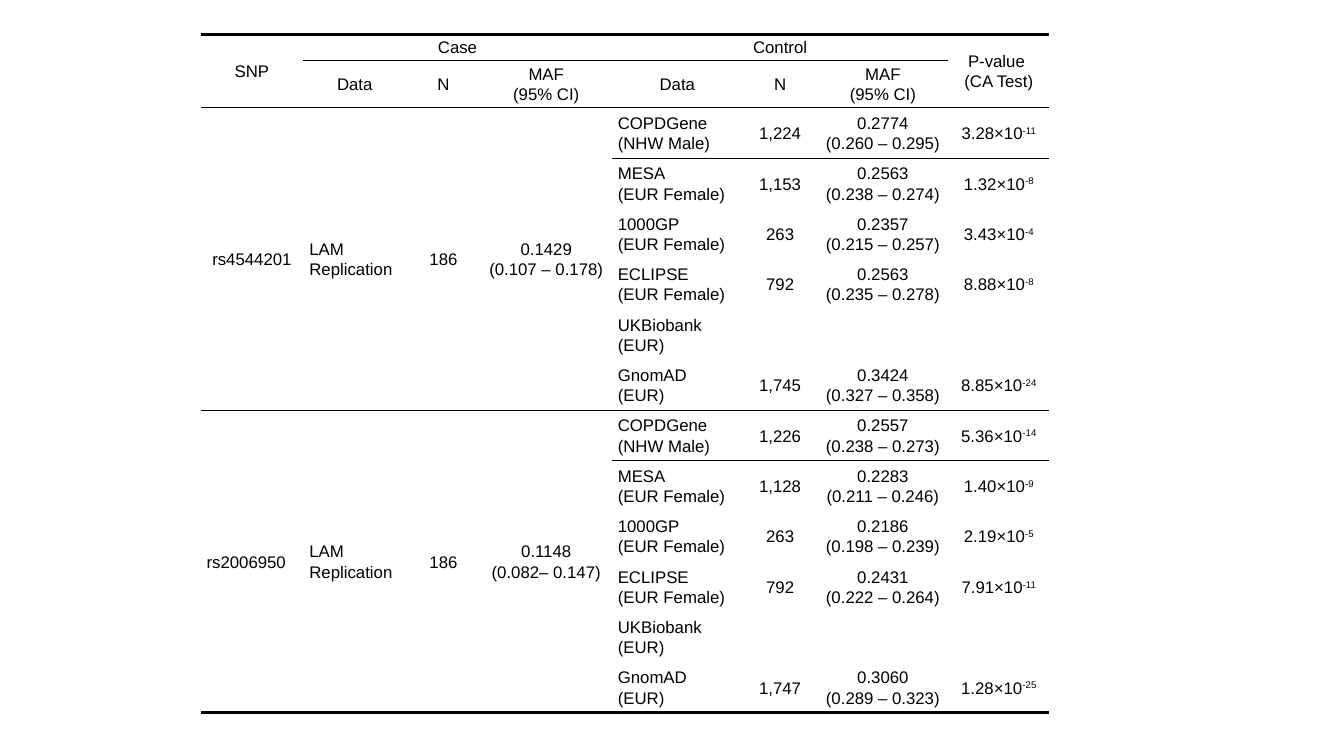
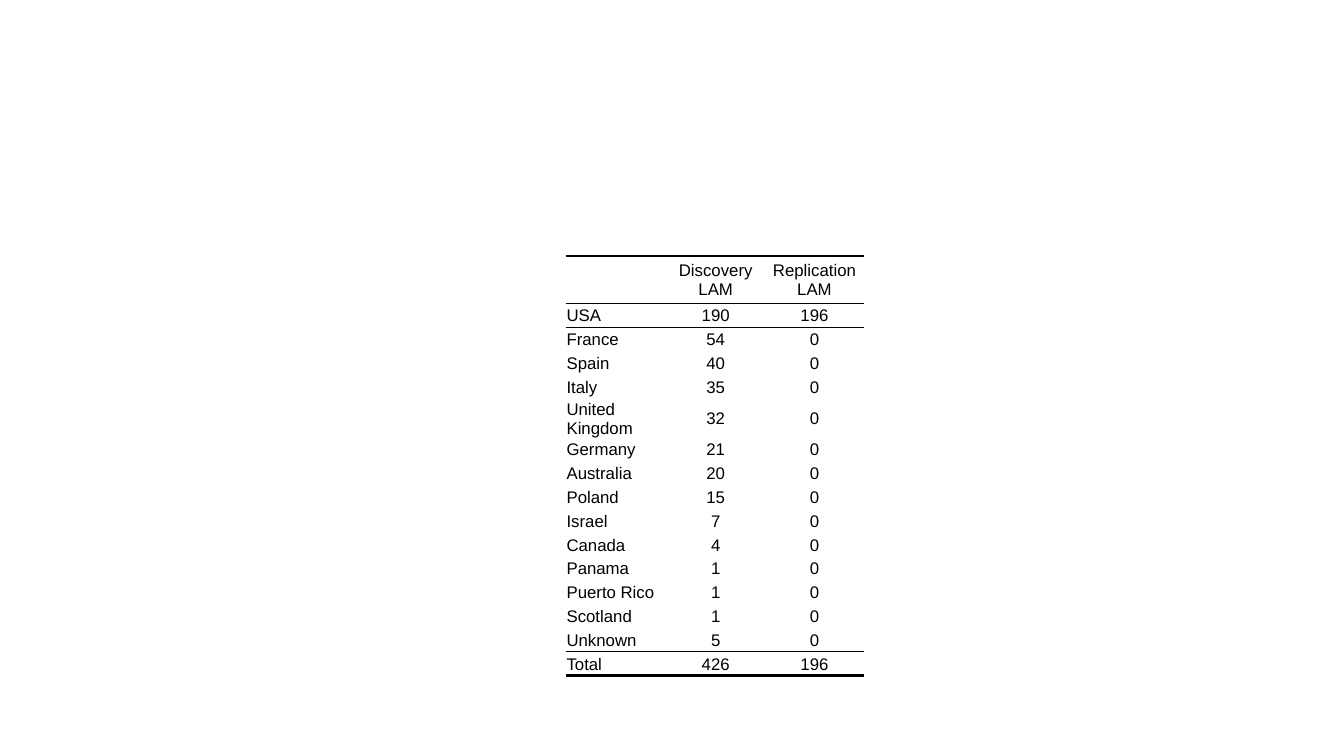
from lxml import etree
from pptx import Presentation, util as u
from pptx.dml.color import RGBColor
from pptx.enum import text
from pptx.oxml.ns import qn

NO_STYLE = "{2D5ABB26-0587-4C30-8999-92F81FD0307C}"
HEAVY, LIGHT = 2.25, 1


def colour(value):
    return RGBColor.from_string(value)


class Deck:
    """Shared style and current slide; lengths are percentages of the slide."""

    font, size, ink = "Arial", 12, "000000"

    def __init__(self):
        self.prs = Presentation()
        self.prs.slide_width = u.Inches(13.33)
        self.prs.slide_height = u.Inches(7.5)
        self.s = None

    def x(self, share):
        return round(self.prs.slide_width * share / 100)

    def y(self, share):
        return round(self.prs.slide_height * share / 100)

    def slide(self):
        self.s = self.prs.slides.add_slide(self.prs.slide_layouts[6])

    def add_run(self, p, content, raised=False):
        r = p.add_run()
        r.text = content
        r.font.name, r.font.size = self.font, u.Pt(self.size)
        r.font.color.rgb = colour(self.ink)
        if raised:
            r.font._element.set("baseline", "30000")

    def add_text(self, tf, content, align="CENTER", spacing=None):
        """Newline starts a paragraph, \\v breaks a line, ^ raises the rest."""
        for i, line in enumerate(content.split("\n")):
            p = tf.add_paragraph() if i else tf.paragraphs[0]
            p.alignment = getattr(text.PP_ALIGN, align)
            if spacing:
                p.line_spacing = spacing
            for j, part in enumerate(line.split("\v")):
                if j:
                    p.add_line_break()
                base, _, power = part.partition("^")
                self.add_run(p, base)
                if power:
                    self.add_run(p, power, raised=True)

    def border(self, cell, side, width):
        ln = etree.SubElement(cell._tc.get_or_add_tcPr(), qn(f"a:{side}"),
                              w=str(u.Pt(width)))
        fill = etree.SubElement(ln, qn("a:solidFill"))
        etree.SubElement(fill, qn("a:srgbClr"), val=self.ink)

    def table(self, left, top, cols, rows, cells, rules, spans=(),
              left_aligned=(), margins=(0, 0, 0, 0), spacing=None):
        """cells maps (row, column) to text; rules maps a row's top to a width."""
        frame = self.s.shapes.add_table(
            len(rows), len(cols), self.x(left), self.y(top),
            self.x(sum(cols)), self.y(sum(rows)))
        table = frame.table
        table.first_row = table.horz_banding = False
        table._tbl.tblPr.find(qn("a:tableStyleId")).text = NO_STYLE
        for column, width in zip(table.columns, cols):
            column.width = self.x(width)
        for row, height in zip(table.rows, rows):
            row.height = self.y(height)
        for r, c, height, width in spans:
            table.cell(r, c).merge(table.cell(r + height - 1, c + width - 1))
        for r in range(len(rows)):
            for c in range(len(cols)):
                cell = table.cell(r, c)
                if cell.is_spanned:
                    continue
                end = r + (cell.span_height if cell.is_merge_origin else 1)
                for side, edge in (("lnT", r), ("lnB", end)):
                    if edge in rules:
                        self.border(cell, side, rules[edge])
                cell.fill.background()
                cell.vertical_anchor = text.MSO_ANCHOR.MIDDLE
                (cell.margin_left, cell.margin_top, cell.margin_right,
                 cell.margin_bottom) = map(u.Inches, margins)
                if cells.get((r, c)):
                    align = "LEFT" if (r, c) in left_aligned else "CENTER"
                    self.add_text(cell.text_frame, cells[r, c], align, spacing)


CONTROLS = ["COPDGene\n(NHW Male)", "MESA\n(EUR Female)",
            "1000GP\v(EUR Female)", "ECLIPSE\n(EUR Female)",
            "UKBiobank\n(EUR)", "GnomAD\n(EUR)"]
SNPS = [
    ("rs4544201", "0.1429\n(0.107 – 0.178)", [
        ("1,224", "0.2774\n(0.260 – 0.295)", "3.28×10^-11"),
        ("1,153", "0.2563\n(0.238 – 0.274)", "1.32×10^-8"),
        ("263", "0.2357\n(0.215 – 0.257)", "3.43×10^-4"),
        ("792", "0.2563\n(0.235 – 0.278)", "8.88×10^-8"),
        (),
        ("1,745", "0.3424\n(0.327 – 0.358)", "8.85×10^-24")]),
    ("rs2006950", "0.1148\n(0.082– 0.147)", [
        ("1,226", "0.2557\n(0.238 – 0.273)", "5.36×10^-14"),
        ("1,128", "0.2283\n(0.211 – 0.246)", "1.40×10^-9"),
        ("263", "0.2186\n(0.198 – 0.239)", "2.19×10^-5"),
        ("792", "0.2431\n(0.222 – 0.264)", "7.91×10^-11"),
        (),
        ("1,747", "0.3060\n(0.289 – 0.323)", "1.28×10^-25")]),
]
COUNTRIES = [
    ("", "Discovery\nLAM", "Replication\nLAM"),
    ("USA", "190", "196"), ("France", "54", "0"), ("Spain", "40", "0"),
    ("Italy", "35", "0"), ("United Kingdom", "32", "0"),
    ("Germany", "21", "0"), ("Australia", "20", "0"), ("Poland", "15", "0"),
    ("Israel", "7", "0"), ("Canada", "4", "0"), ("Panama", "1", "0"),
    ("Puerto Rico", "1", "0"), ("Scotland", "1", "0"), ("Unknown", "5", "0"),
    ("Total", "426", "196"),
]


def by_position(rows, top=0, left=0):
    return {(r, c): value for r, row in enumerate(rows, top)
            for c, value in enumerate(row, left)}


def snp_slide(deck):
    deck.slide()
    group = len(CONTROLS)
    cells = by_position([
        ("SNP", "Case", "", "", "Control", "", "", "P-value \n(CA Test)"),
        ("", "Data", "N", "MAF\v(95% CI)", "Data", "N", "MAF\n(95% CI)")])
    spans = [(0, 0, 2, 1), (0, 1, 1, 3), (0, 4, 1, 3), (0, 7, 2, 1)]
    starts = [2 + group * i for i in range(len(SNPS))]
    for start, (snp, maf, results) in zip(starts, SNPS):
        cells |= by_position([(snp, "LAM \vReplication", "186", maf)], start)
        cells |= by_position([(name, *result) for name, result
                              in zip(CONTROLS, results)], start, 4)
        spans += [(start, c, group, 1) for c in range(4)]
    end = starts[-1] + group
    names = {(r, 4) for r in range(2, end)} | {(r, 1) for r in starts}
    deck.table(
        14.92, 4.53, cols=[7.65, 7.65, 5.55, 9.75, 9.75, 5.55, 9.75, 7.5],
        rows=[3.47, 6.27] + [6.67] * (end - 2), cells=cells, spans=spans,
        rules={0: HEAVY, end: HEAVY} | dict.fromkeys([1, *starts], LIGHT),
        left_aligned=names | {(starts[-1], 0)},
        margins=(0.06, 0.03, 0.06, 0.03), spacing=1.07)


def country_slide(deck):
    deck.slide()
    end = len(COUNTRIES)
    deck.table(
        42.08, 33.87, cols=[7.5, 7.35, 7.35], rows=[6.3] + [3.15] * (end - 1),
        cells=by_position(COUNTRIES),
        rules={0: HEAVY, 1: LIGHT, end - 1: LIGHT, end: HEAVY},
        left_aligned={(r, 0) for r in range(end)},
        margins=(0.01, 0.01, 0.01, 0))


def main():
    deck = Deck()
    snp_slide(deck)
    country_slide(deck)
    deck.prs.save("out.pptx")


if __name__ == "__main__":
    main()
